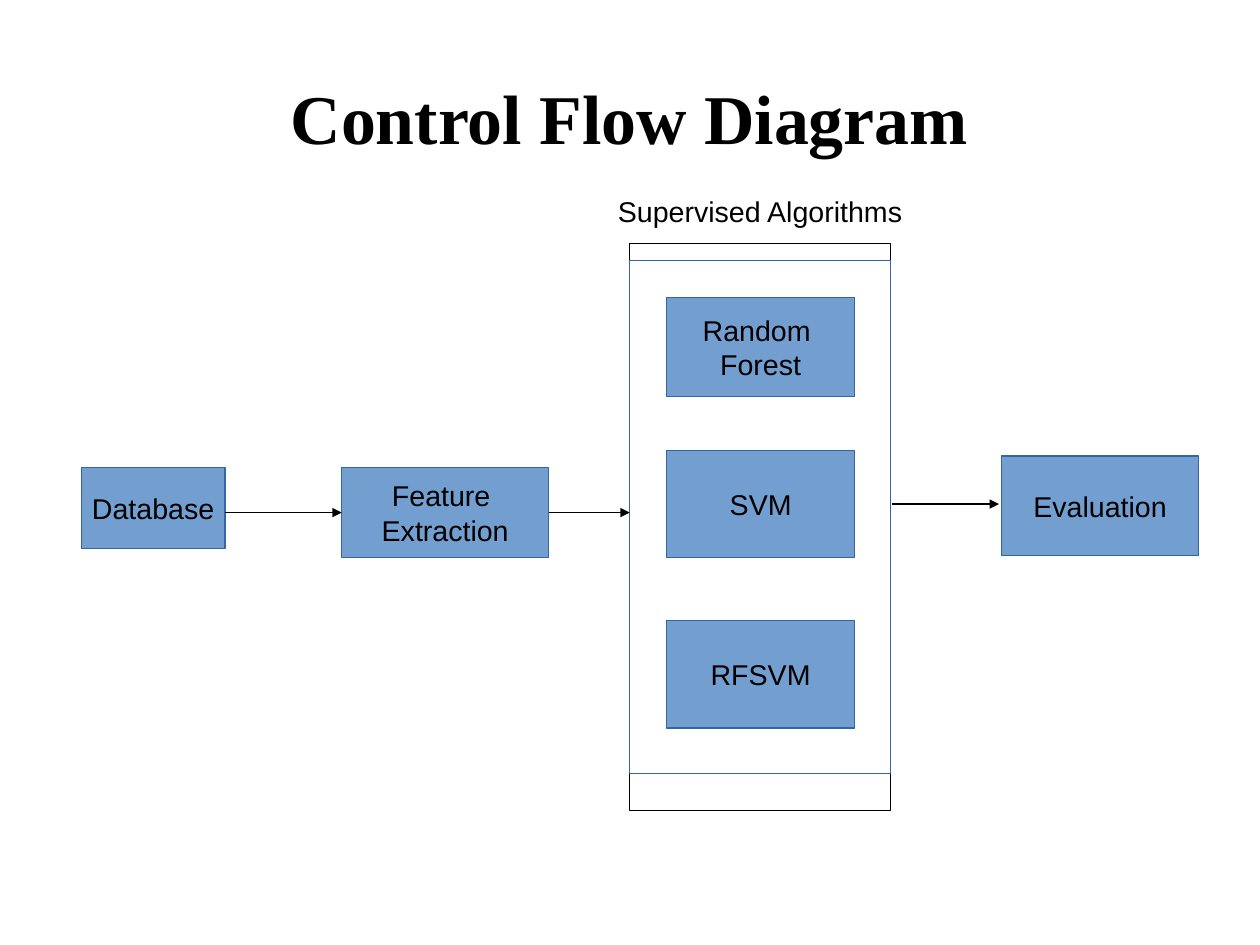
from dataclasses import dataclass

from lxml import etree
from pptx import Presentation
from pptx.dml.color import RGBColor
from pptx.enum.shapes import MSO_CONNECTOR as Connector, MSO_SHAPE as Shape
from pptx.enum.text import MSO_ANCHOR as Anchor, PP_ALIGN as Align
from pptx.oxml.ns import qn
from pptx.util import Inches, Pt


@dataclass(frozen=True)
class Theme:
    black = RGBColor(0, 0, 0)
    white = RGBColor(255, 255, 255)
    box_fill = RGBColor(0x72, 0x9F, 0xCF)
    box_line = RGBColor(0x34, 0x65, 0xA4)
    title_font = "Times New Roman"
    body_font = "Arial"
    title_size = Pt(44)
    body_size = Pt(18)
    line_width = Pt(0.75)


theme = Theme()


def format_text(text_frame, font_name, size, bold=False):
    text_frame.vertical_anchor = Anchor.MIDDLE
    for paragraph in text_frame.paragraphs:
        paragraph.alignment = Align.CENTER
        for run in paragraph.runs:
            run.font.name = font_name
            run.font.size = size
            run.font.bold = bold
            run.font.color.rgb = theme.black


def add_box(place, line, fill=None, text=None):
    box = slide.shapes.add_shape(Shape.RECTANGLE, *map(Inches, place))
    box.shadow.inherit = False
    box.line.color.rgb = line
    box.line.width = theme.line_width
    if fill is None:
        box.fill.background()
    else:
        box.fill.solid()
        box.fill.fore_color.rgb = fill
    if text:
        box.text_frame.text = text
        box.text_frame.word_wrap = False
        format_text(box.text_frame, theme.body_font, theme.body_size)
    return box


# Slide of 28 by 21 centimetres
presentation = Presentation()
presentation.slide_width = Inches(28 / 2.54)
presentation.slide_height = Inches(21 / 2.54)
slide = presentation.slides.add_slide(presentation.slide_layouts[5])

# Title
title = slide.shapes.title
title.left, title.top = Inches(0.55), Inches(0.33)
title.width, title.height = Inches(9.92), Inches(1.38)
title_frame = title.text_frame
title_frame.text = "Control Flow Diagram"
title_frame.margin_left = title_frame.margin_right = 0
title_frame.margin_top = title_frame.margin_bottom = 0
format_text(title_frame, theme.title_font, theme.title_size, bold=True)

# Process steps and algorithms
steps = {
    "Database": (0.71, 4.09, 1.26, 0.71),
    "Feature \nExtraction": (2.99, 4.09, 1.81, 0.79),
    "Random \nForest": (5.83, 2.6, 1.65, 0.87),
    "SVM": (5.83, 3.94, 1.65, 0.94),
    "RFSVM": (5.83, 5.43, 1.65, 0.94),
    "Evaluation": (8.76, 3.99, 1.73, 0.87),
}
boxes = {
    text: add_box(place, theme.box_line, theme.box_fill, text)
    for text, place in steps.items()
}
feature_box = boxes["Feature \nExtraction"]

# Frames around the algorithms, with their heading
add_box((5.51, 2.13, 2.28, 4.96), theme.black)
add_box((5.51, 2.28, 2.28, 4.49), theme.box_line)
add_box((4.88, 1.57, 3.54, 0.55), theme.white, theme.white, "Supervised Algorithms")

# Arrows: start, end, height
feature_middle = feature_box.top + feature_box.height // 2
arrows = []
for start, end, y in [
    (1.97, 2.99, feature_middle),
    (4.8, 5.51, feature_middle),
    (7.8, 8.74, Inches(4.41)),
]:
    arrow = slide.shapes.add_connector(
        Connector.STRAIGHT, Inches(start), y, Inches(end), y
    )
    arrow.line.color.rgb = theme.black
    arrow.line.width = theme.line_width
    etree.SubElement(arrow.line._get_or_add_ln(), qn("a:tailEnd"), type="triangle")
    etree.SubElement(arrow._element.spPr, qn("a:effectLst"))
    arrows.append(arrow)

into_feature, out_of_feature, _ = arrows
into_feature.end_connect(feature_box, 1)
out_of_feature.begin_connect(feature_box, 3)

presentation.save("out.pptx")
